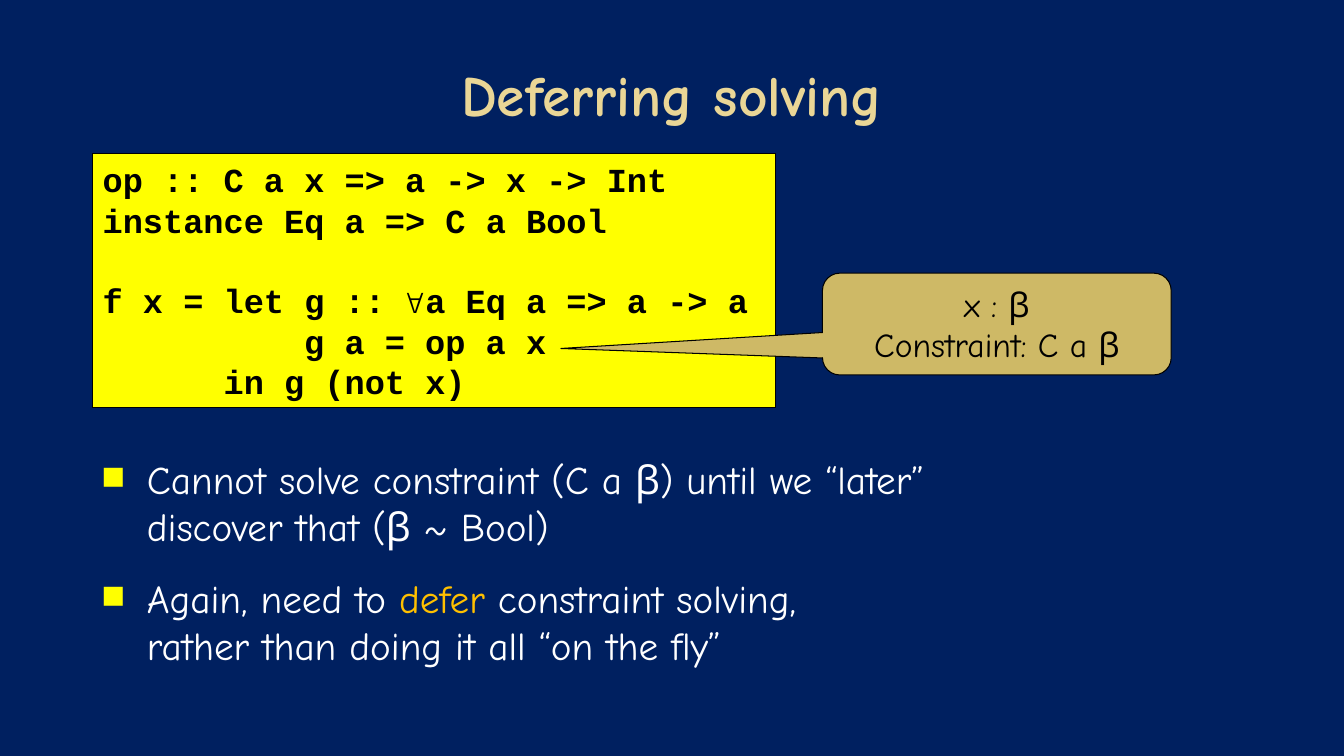
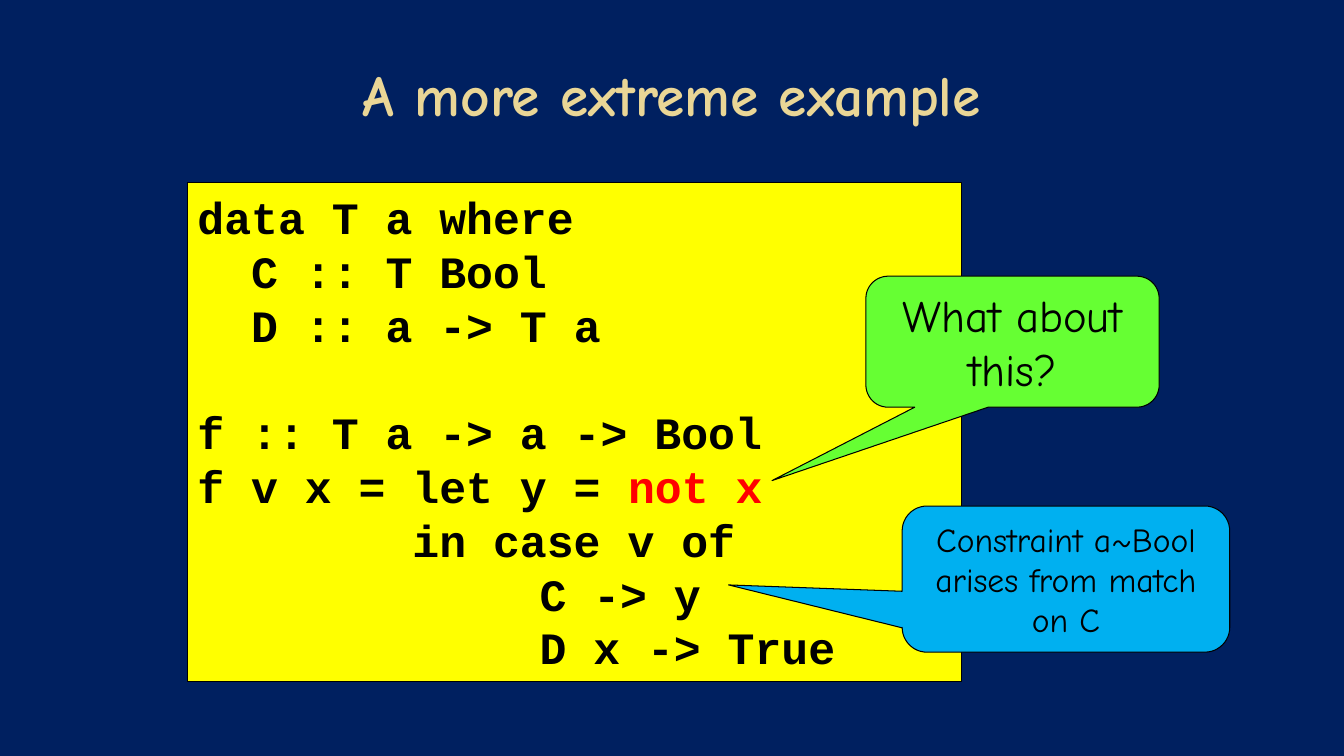
import pptx
import pptx.util
import pptx.dml.color
import pptx.enum.shapes
import pptx.enum.text
import pptx.oxml
import pptx.oxml.ns
import lxml.etree

Pt = pptx.util.Pt
SHAPE = pptx.enum.shapes.MSO_SHAPE
ALIGN = pptx.enum.text.PP_ALIGN
ANCHOR = pptx.enum.text.MSO_ANCHOR

COLOURS = {
    "navy": "002060", "title": "EAD696", "white": "FFFFFF", "black": "000000",
    "yellow": "FFFF00", "amber": "FFC000", "red": "FF0000",
    "sand": "CEB966", "green": "66FF33", "blue": "00B0F0",
}
TEXT_FONT = "Comic Neue"
CODE_FONT = "Courier New"
CODE_ADVANCE = 0.6
LINE_HEIGHT = 1.2
TITLE_PLACE = (48, 21.6, 864, 90)
BREAK = "\n"

# fmt: off
SLIDES = [
    {
        "title": "Deferring solving",
        "bullets": {
            "place": (54.72, 321.84, 648, 198.72),
            "items": [
                [("Cannot solve constraint (C a β) until we “later” discover that (β ~ Bool)", "white")],
                [("Again, need to ", "white"), ("defer", "amber"), (" constraint solving,", "white"),
                 (BREAK, "white"), ("rather than doing it all “on the fly”", "white")],
            ],
        },
        "code": {
            "place": (66.24, 109.44, 487.44, 181.44),
            "size": 24,
            "blocks": [
                [(0, [("op :: C a x => a -> x -> Int", "black")]),
                 (0, [("instance Eq a => C a Bool", "black")])],
                [(0, [("f x = let g :: ∀a Eq a => a -> a", "black")]),
                 (10, [("g a = op a x", "black")]),
                 (6, [("in g (not x)", "black")])],
            ],
        },
        "callouts": [
            {"place": (587.52, 195.12, 249.12, 72.72), "tip": (-1.25, 0.24), "fill": "sand",
             "size": 24, "lines": ["x : β", "Constraint: C a β"]},
        ],
    },
    {
        "title": "A more extreme example",
        "code": {
            "place": (133.92, 130.32, 552.96, 356.4),
            "size": 32,
            "blocks": [
                [(0, [("data T a where", "black")]),
                 (2, [("C :: T Bool", "black")]),
                 (2, [("D :: a -> T a", "black")])],
                [(0, [("f :: T a -> a -> Bool", "black")]),
                 (0, [("f v x = let y = ", "black"), ("not x", "red")]),
                 (8, [("in case v of", "black")]),
                 (12.73, [("C -> y", "black")]),
                 (12.73, [("D x -> True", "black")])],
            ],
        },
        "callouts": [
            {"place": (618.48, 197.28, 209.52, 93.6), "tip": (-0.82, 1.06), "fill": "green",
             "size": 32, "lines": ["What about this?"]},
            {"place": (644.4, 361.44, 234, 104.4), "tip": (-1.03, 0.04), "fill": "blue",
             "size": 24, "lines": ["Constraint a~Bool arises from match on C"]},
        ],
    },
]
# fmt: on


def rgb(name):
    return pptx.dml.color.RGBColor.from_string(COLOURS[name])


def add_box(slide, place, anchor=ANCHOR.MIDDLE, preset=None, fill=None):
    lengths = [Pt(length) for length in place]
    if preset is None:
        box = slide.shapes.add_textbox(*lengths)
    else:
        box = slide.shapes.add_shape(preset, *lengths)
        box.shadow.inherit = False
        box.fill.solid()
        box.fill.fore_color.rgb = rgb(fill)
        box.line.color.rgb = rgb("black")
        box.line.width = Pt(0.75)
    box.text_frame.word_wrap = True
    box.text_frame.vertical_anchor = anchor
    return box


def add_para(box, spans, size, font=TEXT_FONT, bold=False, align=ALIGN.LEFT, before=0):
    frame = box.text_frame
    para = frame.paragraphs[0]
    if para.runs:
        para = frame.add_paragraph()
    para.alignment = align
    para.line_spacing = Pt(size * LINE_HEIGHT)
    para.space_before = Pt(before)
    for text, colour in spans:
        if text == BREAK:
            para.add_line_break()
            continue
        span = para.add_run()
        span.text = text
        span.font.name = font
        span.font.size = Pt(size)
        span.font.bold = bold
        span.font.color.rgb = rgb(colour)
    return para


def set_indent(para, left, first=0):
    properties = para._p.get_or_add_pPr()
    properties.set("marL", str(Pt(left)))
    properties.set("indent", str(Pt(first)))
    return properties


def add_bullet(para):
    properties = set_indent(para, 43.2, -32.4)
    qn = pptx.oxml.ns.qn
    colour = lxml.etree.SubElement(properties, qn("a:buClr"))
    lxml.etree.SubElement(colour, qn("a:srgbClr")).set("val", COLOURS["yellow"])
    lxml.etree.SubElement(properties, qn("a:buFont")).set("typeface", CODE_FONT)
    lxml.etree.SubElement(properties, qn("a:buChar")).set("char", "■")


def add_title(slide, text):
    box = add_box(slide, TITLE_PLACE)
    add_para(box, [(text, "title")], 41, bold=True, align=ALIGN.CENTER)


def add_bullets(slide, bullets):
    box = add_box(slide, bullets["place"], ANCHOR.TOP)
    for spans in bullets["items"]:
        add_bullet(add_para(box, spans, 28, before=18))


def add_code(slide, code):
    box = add_box(slide, code["place"], preset=SHAPE.RECTANGLE, fill="yellow")
    size = code["size"]
    for block_number, block in enumerate(code["blocks"]):
        for line_number, (columns, spans) in enumerate(block):
            starts_block = block_number > 0 and line_number == 0
            gap = size * LINE_HEIGHT if starts_block else 0
            para = add_para(box, spans, size, CODE_FONT, bold=True, before=gap)
            set_indent(para, columns * size * CODE_ADVANCE)


def add_callout(slide, callout):
    box = add_box(slide, callout["place"], preset=SHAPE.ROUNDED_RECTANGULAR_CALLOUT,
                  fill=callout["fill"])
    for index, value in enumerate((*callout["tip"], 0.17)):
        box.adjustments[index] = value
    for line in callout["lines"]:
        add_para(box, [(line, "black")], callout["size"], align=ALIGN.CENTER)


def main():
    deck = pptx.Presentation()
    deck.slide_width, deck.slide_height = Pt(960), Pt(540)
    background = deck.slide_master.background.fill
    background.solid()
    background.fore_color.rgb = rgb("navy")
    for content in SLIDES:
        slide = deck.slides.add_slide(deck.slide_layouts[6])
        add_title(slide, content["title"])
        if "bullets" in content:
            add_bullets(slide, content["bullets"])
        add_code(slide, content["code"])
        for callout in content["callouts"]:
            add_callout(slide, callout)
    deck.save("out.pptx")


if __name__ == "__main__":
    main()
